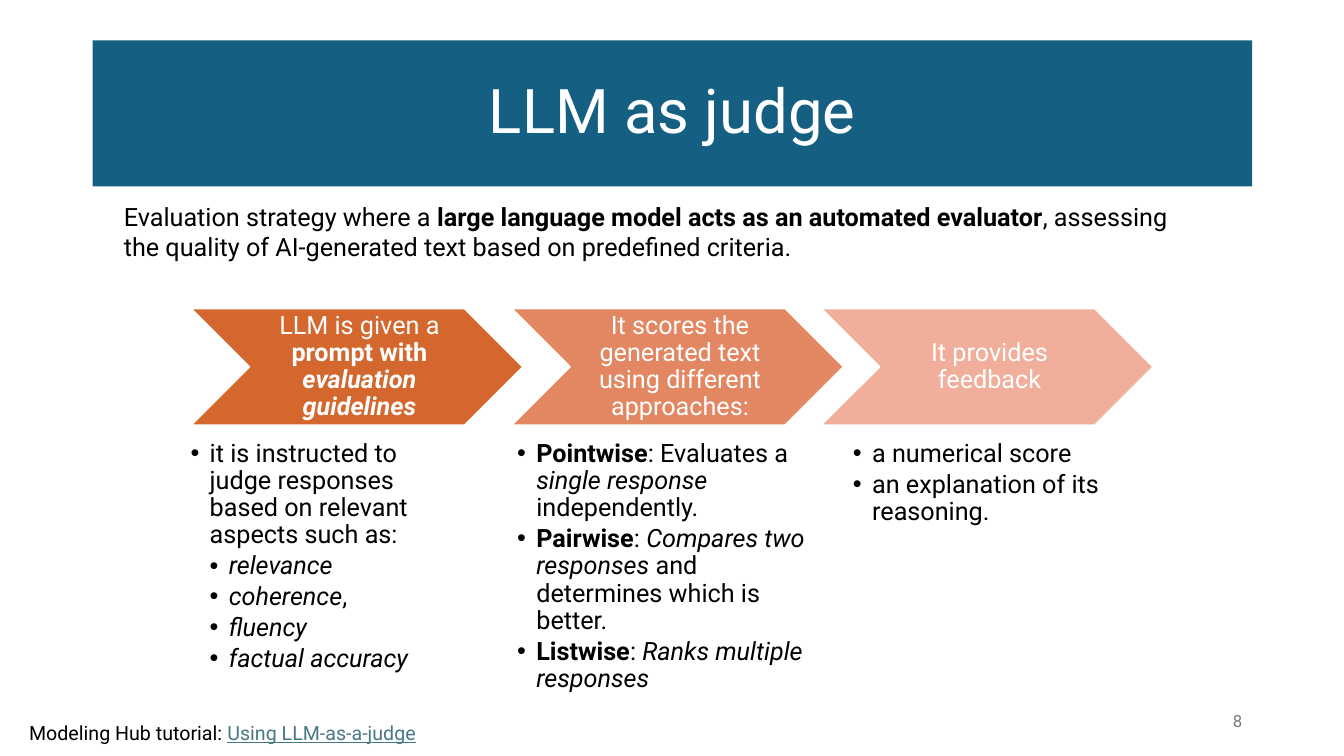
from lxml import etree
from pptx import Presentation
from pptx.dml.color import RGBColor
from pptx.enum.shapes import MSO_SHAPE
from pptx.enum.text import MSO_ANCHOR, PP_ALIGN
from pptx.oxml.ns import qn
from pptx.util import Emu, Pt

RECTANGLE, CHEVRON = MSO_SHAPE.RECTANGLE, MSO_SHAPE.CHEVRON
LEFT, CENTER, RIGHT = PP_ALIGN.LEFT, PP_ALIGN.CENTER, PP_ALIGN.RIGHT
TOP, MIDDLE = MSO_ANCHOR.TOP, MSO_ANCHOR.MIDDLE

EMU_PER_PX = 9144  # 100 px to the inch
FONT = "Roboto"
BLACK, WHITE, GREY = "000000", "FFFFFF", "797979"
BANNER_BLUE, LINK_BLUE = "156082", "467886"
BODY_SIZE = 18
BULLET_INDENT = 19
STEP_TOP, STEP_WIDTH, STEP_HEIGHT = 306, 330, 116
LABEL_INSET = 58
DETAILS_TOP, DETAILS_HEIGHT = 437, 279

# A run is (text, style): b bold, i italic, u underlined link.
DEFINITION = [
    ("Evaluation strategy where a ", ""),
    ("large language model acts as an automated evaluator", "b"),
    (", assessing the quality of AI-generated text based on predefined criteria.", ""),
]
TUTORIAL = [("Modeling Hub tutorial: ", ""), ("Using LLM-as-a-judge", "u")]

# Each detail is (level, runs).
STEPS = [
    {
        "left": 189, "fill": "D3672D",
        "label": [("LLM is given a ", ""), ("prompt with ", "b"),
                  ("evaluation guidelines", "bi")],
        "details_left": 189, "details_width": 264,
        "details": [
            (1, [("it is instructed to judge responses based on relevant "
                  "aspects such as:", "")]),
            (2, [("relevance", "i")]),
            (2, [("coherence", "i"), (",", "")]),
            (2, [("fluency", "i")]),
            (2, [("factual accuracy", "i")]),
        ],
    },
    {
        "left": 507, "fill": "E38763",
        "label": [("It scores the generated text using different approaches:", "")],
        "details_left": 513, "details_width": 286,
        "details": [
            (1, [("Pointwise", "b"), (": Evaluates a ", ""),
                 ("single response ", "i"), ("independently.", "")]),
            (1, [("Pairwise", "b"), (": ", ""), ("Compares two responses ", "i"),
                 ("and determines which is better.", "")]),
            (1, [("Listwise", "b"), (": ", ""), ("Ranks multiple responses", "i")]),
        ],
    },
    {
        "left": 814, "fill": "F0AE9B",
        "label": [("It provides feedback", "")],
        "details_left": 846, "details_width": 264,
        "details": [
            (1, [("a numerical score", "")]),
            (1, [("an explanation of its reasoning.", "")]),
        ],
    },
]


def px(length):
    return Emu(length * EMU_PER_PX)


def rgb(hex_color):
    return RGBColor.from_string(hex_color)


def add_block(slide, preset, box, fill, outline=None):
    block = slide.shapes.add_shape(preset, *map(px, box))
    block.shadow.inherit = False
    block.fill.solid()
    block.fill.fore_color.rgb = rgb(fill)
    if outline:
        block.line.color.rgb = rgb(outline)
        block.line.width = Pt(1.5)
    else:
        block.line.fill.background()
    return block


def set_up_frame(frame, anchor, insets=(10, 5, 10, 5)):
    """Insets run left, top, right, bottom."""
    frame.word_wrap = True
    frame.vertical_anchor = anchor
    (frame.margin_left, frame.margin_top,
     frame.margin_right, frame.margin_bottom) = map(px, insets)


def write_runs(paragraph, runs, size=BODY_SIZE, color=BLACK, align=LEFT, spacing=1.0):
    paragraph.alignment = align
    paragraph.line_spacing = spacing
    for text, style in runs:
        run = paragraph.add_run()
        run.text = text
        font = run.font
        font.name = FONT
        font.size = Pt(size)
        font.bold = "b" in style
        font.italic = "i" in style
        font.underline = "u" in style
        font.color.rgb = rgb(LINK_BLUE if "u" in style else color)


def add_text(slide, box, runs, anchor=TOP, insets=(10, 5, 10, 5), **look):
    frame = slide.shapes.add_textbox(*map(px, box)).text_frame
    set_up_frame(frame, anchor, insets)
    write_runs(frame.paragraphs[0], runs, **look)


def add_bullets(slide, box, details):
    frame = slide.shapes.add_textbox(*map(px, box)).text_frame
    set_up_frame(frame, TOP, (0, 0, 0, 0))
    for index, (level, runs) in enumerate(details):
        paragraph = frame.add_paragraph() if index else frame.paragraphs[0]
        paragraph.level = level
        write_runs(paragraph, runs, spacing=0.9)
        paragraph.space_after = Pt(2.7)
        properties = paragraph._p.get_or_add_pPr()
        properties.set("marL", str(px(BULLET_INDENT * level)))
        properties.set("indent", str(px(-BULLET_INDENT)))
        etree.SubElement(properties, qn("a:buFont"), typeface="Arial")
        etree.SubElement(properties, qn("a:buChar"), char="•")


def add_banner(slide, title):
    banner = add_block(slide, RECTANGLE, (92, 40, 1150, 145), BANNER_BLUE)
    set_up_frame(banner.text_frame, MIDDLE)
    write_runs(banner.text_frame.paragraphs[0], [(title, "")],
               size=44, color=WHITE, align=CENTER, spacing=0.9)


def add_step(slide, step):
    """Chevron with its label, and the bullets below it."""
    left = step["left"]
    add_block(slide, CHEVRON, (left, STEP_TOP, STEP_WIDTH, STEP_HEIGHT),
              step["fill"], WHITE)
    label_box = (left + LABEL_INSET, STEP_TOP,
                 STEP_WIDTH - 2 * LABEL_INSET, STEP_HEIGHT)
    add_text(slide, label_box, step["label"], MIDDLE, (8, 3, 3, 3),
             color=WHITE, align=CENTER, spacing=0.9)
    add_bullets(slide, (step["details_left"], DETAILS_TOP,
                        step["details_width"], DETAILS_HEIGHT), step["details"])


def main():
    deck = Presentation()
    deck.slide_width, deck.slide_height = px(1333), px(750)
    slide = deck.slides.add_slide(deck.slide_layouts[6])
    add_banner(slide, "LLM as judge")
    add_text(slide, (942, 695, 300, 40), [("8", "")], MIDDLE,
             size=12, color=GREY, align=RIGHT)
    add_text(slide, (113, 195, 1093, 101), DEFINITION)
    add_text(slide, (19, 710, 440, 34), TUTORIAL, size=14)
    for step in STEPS:
        add_step(slide, step)
    deck.save("out.pptx")


if __name__ == "__main__":
    main()
